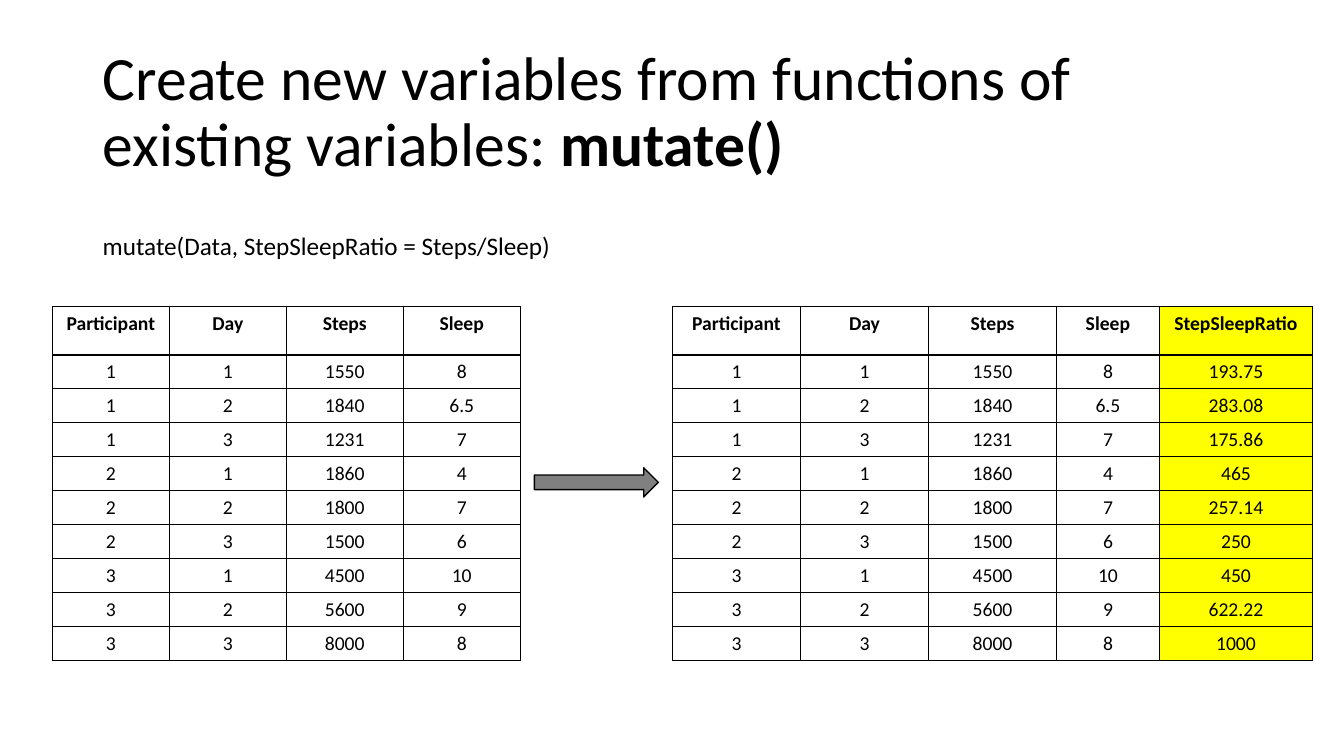
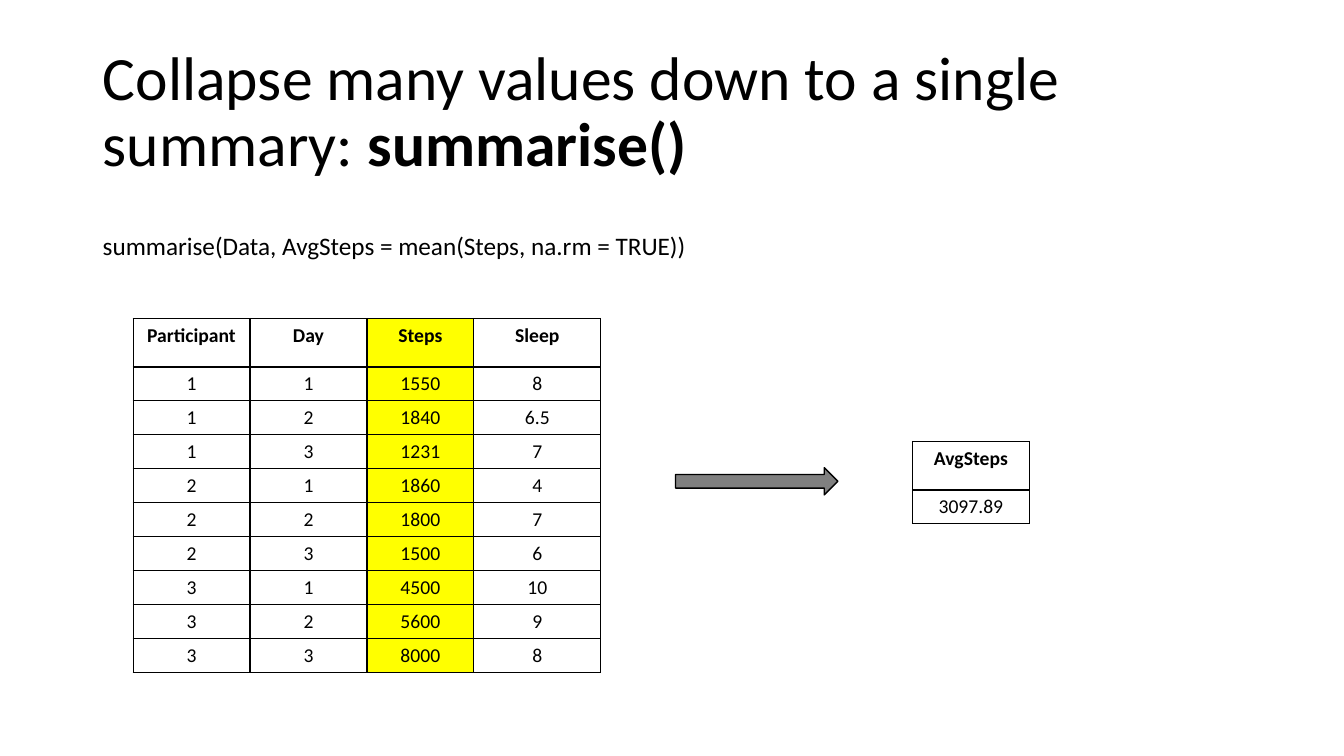
from lxml.etree import SubElement
from pptx import Presentation
from pptx.dml.color import RGBColor
from pptx.enum.shapes import MSO_SHAPE
from pptx.enum.text import MSO_ANCHOR, MSO_AUTO_SIZE, PP_ALIGN
from pptx.oxml.ns import qn
from pptx.util import Inches, Pt

COLORS = {"black": "000000", "white": "FFFFFF", "yellow": "FFFF00", "grey": "808080"}
FONT = "Calibri"
TITLE_ONLY = 5
HEADER_HEIGHT, ROW_HEIGHT = 0.48, 0.33

HEADER = ["Participant", "Day", "Steps", "Sleep"]
RECORDS = [
    (1, 1, 1550, 8), (1, 2, 1840, 6.5), (1, 3, 1231, 7),
    (2, 1, 1860, 4), (2, 2, 1800, 7), (2, 3, 1500, 6),
    (3, 1, 4500, 10), (3, 2, 5600, 9), (3, 3, 8000, 8),
]
data = [HEADER] + [[str(value) for value in record] for record in RECORDS]

ratios = [f"{steps / sleep:.6g}" if steps % sleep == 0 else f"{round(steps / sleep, 2):g}"
          for _, _, steps, sleep in RECORDS]
mutated = [row + [ratio] for row, ratio in zip(data, ["StepSleepRatio"] + ratios)]
average = sum(record[2] for record in RECORDS) / len(RECORDS)
summary = [["AvgSteps"], [f"{average:.2f}"]]

# Tables: left, top, column widths, rows, highlighted column
SLIDES = [
    {
        "title": "Create new variables from functions of existing variables: ",
        "function": "mutate()",
        "code": "mutate(Data, StepSleepRatio = Steps/Sleep)",
        "tables": [
            (0.52, 3.04, [1.16] * 4, data, None),
            (6.67, 3.04, [1.27, 1.27, 1.27, 1.02, 1.52], mutated, "StepSleepRatio"),
        ],
        "arrow": (5.3, 4.64, 1.23, 0.29),
    },
    {
        "title": "Collapse many values down to a single summary: ",
        "function": "summarise()",
        "code": "summarise(Data, AvgSteps = mean(Steps, na.rm = TRUE))",
        "tables": [
            (1.32, 3.16, [1.16, 1.16, 1.06, 1.26], data, "Steps"),
            (9.05, 4.38, [1.16], summary, None),
        ],
        "arrow": (6.7, 4.64, 1.61, 0.27),
    },
]


def add_run(paragraph, text, size, bold=False):
    run = paragraph.add_run()
    run.text = text
    run.font.name = FONT
    run.font.size = Pt(size)
    run.font.bold = bold
    run.font.color.rgb = RGBColor.from_string(COLORS["black"])


def set_borders(cell, top, bottom):
    """Draw 1 pt black sides; top and bottom give the other widths in points."""
    properties = cell._tc.get_or_add_tcPr()
    for side, width in (("L", 1), ("R", 1), ("T", top), ("B", bottom)):
        line = SubElement(properties, qn(f"a:ln{side}"), w=str(Pt(width)))
        fill = SubElement(line, qn("a:solidFill"))
        SubElement(fill, qn("a:srgbClr"), val=COLORS["black"])


presentation = Presentation()
presentation.slide_width = Inches(13.33)
presentation.slide_height = Inches(7.5)
layout = presentation.slide_layouts[TITLE_ONLY]

for content in SLIDES:
    slide = presentation.slides.add_slide(layout)

    title = slide.shapes.title
    title.left, title.top, title.width, title.height = map(Inches, (0.92, 0.4, 11.5, 1.45))
    title.text_frame.auto_size = MSO_AUTO_SIZE.NONE
    title.text_frame.vertical_anchor = MSO_ANCHOR.MIDDLE
    paragraph = title.text_frame.paragraphs[0]
    paragraph.alignment = PP_ALIGN.LEFT
    paragraph.line_spacing = 0.9
    add_run(paragraph, content["title"], 44)
    add_run(paragraph, content["function"], 44, bold=True)

    for left, top, widths, rows, highlight in content["tables"]:
        heights = [HEADER_HEIGHT] + [ROW_HEIGHT] * (len(rows) - 1)
        table = slide.shapes.add_table(
            len(rows), len(widths), Inches(left), Inches(top),
            Inches(sum(widths)), Inches(sum(heights))).table
        table.first_row = False
        table.horz_banding = False
        for column, width in zip(table.columns, widths):
            column.width = Inches(width)
        for row_index, values in enumerate(rows):
            table.rows[row_index].height = Inches(heights[row_index])
            for column_index, value in enumerate(values):
                cell = table.cell(row_index, column_index)
                set_borders(cell, top=2 if row_index == 1 else 1,
                            bottom=2 if row_index == 0 else 1)
                fill = "yellow" if rows[0][column_index] == highlight else "white"
                cell.fill.solid()
                cell.fill.fore_color.rgb = RGBColor.from_string(COLORS[fill])
                paragraph = cell.text_frame.paragraphs[0]
                paragraph.alignment = PP_ALIGN.CENTER
                add_run(paragraph, value, 14, bold=row_index == 0)

    code = slide.shapes.add_textbox(*map(Inches, (0.92, 2.24, 11.99, 0.4)))
    code.text_frame.word_wrap = True
    add_run(code.text_frame.paragraphs[0], content["code"], 18)

    arrow = slide.shapes.add_shape(MSO_SHAPE.RIGHT_ARROW, *map(Inches, content["arrow"]))
    arrow.shadow.inherit = False
    arrow.fill.solid()
    arrow.fill.fore_color.rgb = RGBColor.from_string(COLORS["grey"])
    arrow.line.color.rgb = RGBColor.from_string(COLORS["black"])
    arrow.line.width = Pt(1)

presentation.save("out.pptx")
